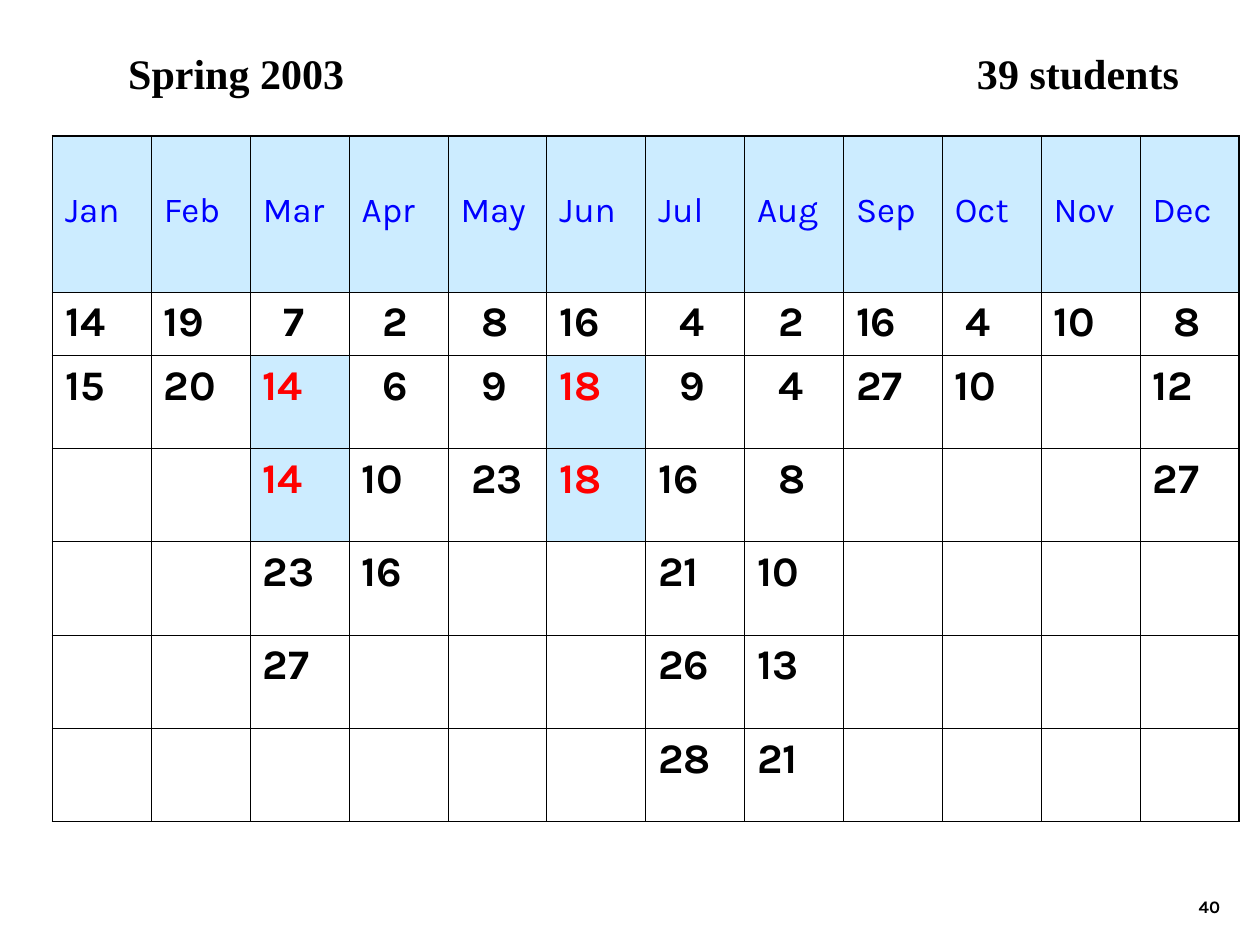
from lxml.etree import SubElement
from pptx import Presentation
from pptx.dml.color import RGBColor
from pptx.enum.text import MSO_ANCHOR as Anchor, PP_ALIGN as Align
from pptx.oxml.ns import qn
from pptx.util import Pt


def rgb(hex_color):
    return RGBColor.from_string(hex_color)


def write(paragraph, text, color="000000", **font_format):
    font = paragraph.add_run().font
    paragraph.runs[0].text = text
    font.color.rgb = rgb(color)
    for attribute, value in font_format.items():
        setattr(font, attribute, value)


BLUE, RED, PALE_BLUE = "0000FF", "FF0000", "CCECFF"
MONTH_FORMAT = {"name": "Karla", "size": Pt(20), "bold": False}
DAY_FORMAT = {"name": "Karla", "size": Pt(24), "bold": True}

days_by_month = {
    "Jan": [14, 15],
    "Feb": [19, 20],
    "Mar": [7, 14, 14, 23, 27],
    "Apr": [2, 6, 10, 16],
    "May": [8, 9, 23],
    "Jun": [16, 18, 18],
    "Jul": [4, 9, 16, 21, 26, 28],
    "Aug": [2, 4, 8, 10, 13, 21],
    "Sep": [16, 27],
    "Oct": [4, 10],
    "Nov": [10],
    "Dec": [8, 12, 27],
}
row_heights = [89.2, 36] + [53.3] * 5
column_width = 56.5
half_indents = [("Oct", 4), ("May", 23)]

deck = Presentation()
deck.slide_width, deck.slide_height = Pt(720), Pt(540)
slide = deck.slides.add_slide(deck.slide_layouts[6])

# Page number
page_frame = slide.shapes.add_textbox(Pt(554.4), Pt(491.8), Pt(149.8), Pt(36)).text_frame
page_frame.word_wrap = True
page_frame.vertical_anchor = Anchor.BOTTOM
page_number = page_frame.paragraphs[0]
page_number.alignment = Align.RIGHT
write(page_number, "40", name="Karla", size=Pt(10), bold=True)

# Heading, with the class size at a tab stop
heading_frame = slide.shapes.add_textbox(Pt(66.2), Pt(23.8), Pt(617.8), Pt(36)).text_frame
heading_frame.word_wrap = True
heading = heading_frame.paragraphs[0]
tab_stops = SubElement(heading._p.get_or_add_pPr(), qn("a:tabLst"))
SubElement(tab_stops, qn("a:tab"), pos=str(Pt(485)), algn="l")
write(heading, "Spring 2003\t39 students", name="Times New Roman", size=Pt(24), bold=True)

# Birthday calendar
last_row, last_column = len(row_heights) - 1, len(days_by_month) - 1
calendar = slide.shapes.add_table(
    len(row_heights), len(days_by_month), Pt(30), Pt(77.8),
    Pt(column_width * len(days_by_month)), Pt(sum(row_heights)),
).table
calendar.first_row = calendar.horz_banding = False
for row, height in zip(calendar.rows, row_heights):
    row.height = Pt(height)

for column, (month, days) in enumerate(days_by_month.items()):
    calendar.columns[column].width = Pt(column_width)
    for row in range(len(row_heights)):
        cell = calendar.cell(row, column)
        outer_sides = {
            "lnL": column == 0, "lnR": column == last_column,
            "lnT": row == 0, "lnB": row == last_row,
        }
        for side, is_outer in outer_sides.items():
            width = Pt(1.08 if is_outer else 0.45)
            border = SubElement(cell._tc.get_or_add_tcPr(), qn(f"a:{side}"), w=str(width))
            SubElement(SubElement(border, qn("a:solidFill")), qn("a:srgbClr"), val="000000")

        day = days[row - 1] if 0 < row <= len(days) else None
        is_shared = day is not None and days.count(day) > 1
        if row == 0 or is_shared:
            cell.fill.solid()
            cell.fill.fore_color.rgb = rgb(PALE_BLUE)
        else:
            cell.fill.background()

        entry = cell.text_frame.paragraphs[0]
        if row == 0:
            cell.vertical_anchor = Anchor.MIDDLE
            cell.margin_bottom = Pt(7)
            write(entry, month, BLUE, **MONTH_FORMAT)
        elif day is not None:
            indent = 6 if (month, day) in half_indents else 12 if day < 10 else 0
            entry._p.get_or_add_pPr().set("marL", str(Pt(indent)))
            write(entry, str(day), RED if is_shared else "000000", **DAY_FORMAT)

deck.save("out.pptx")
